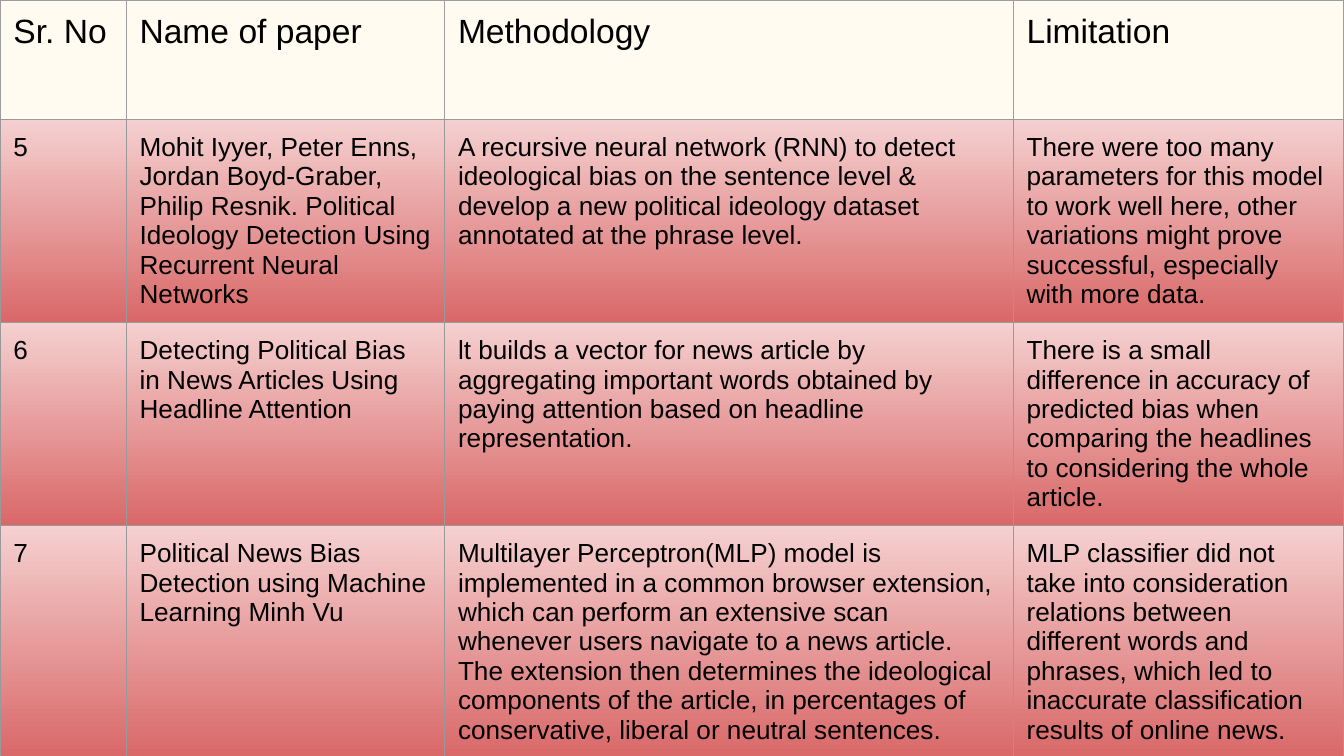
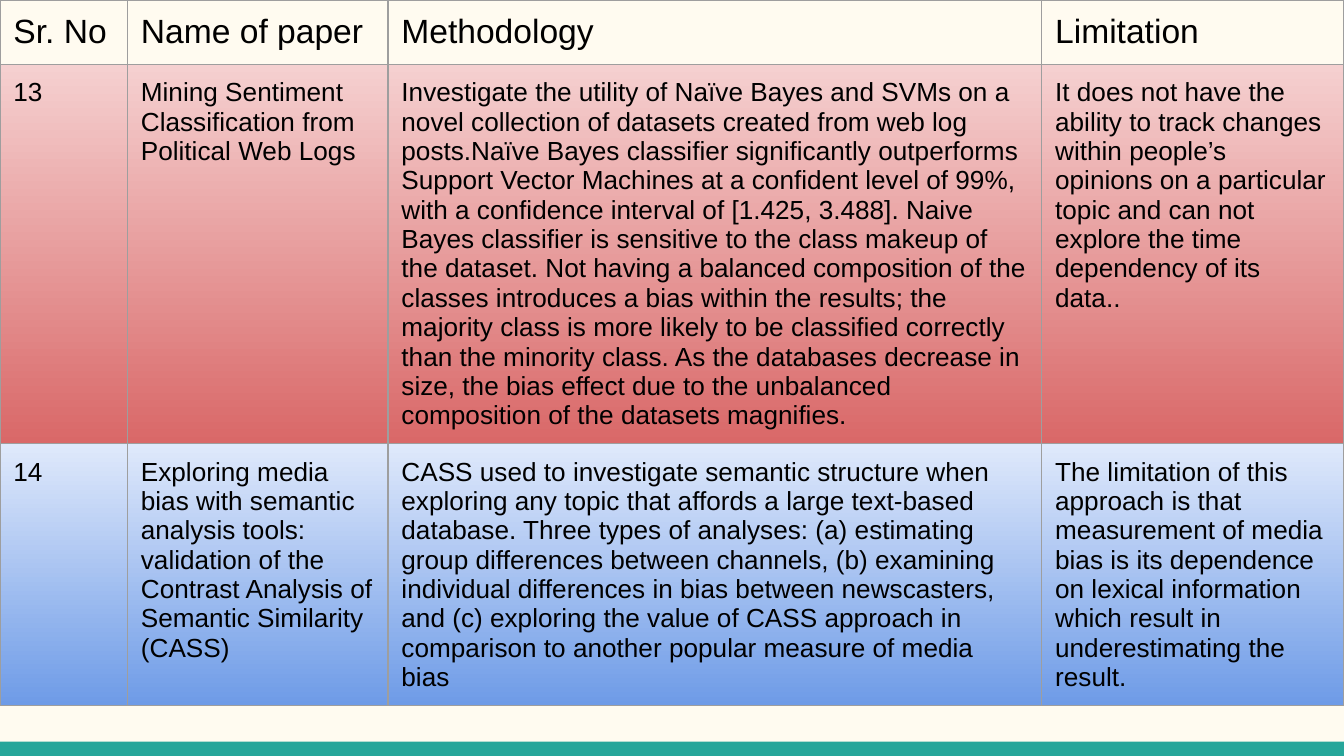
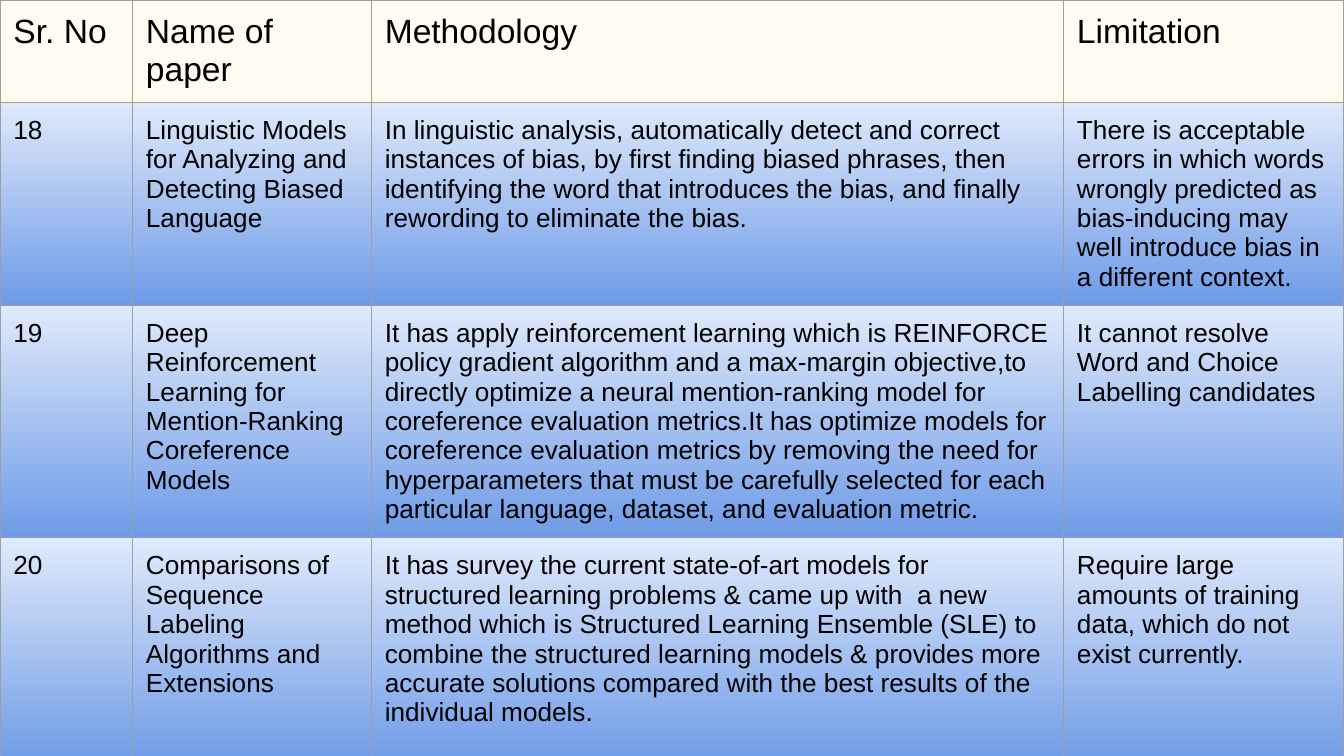
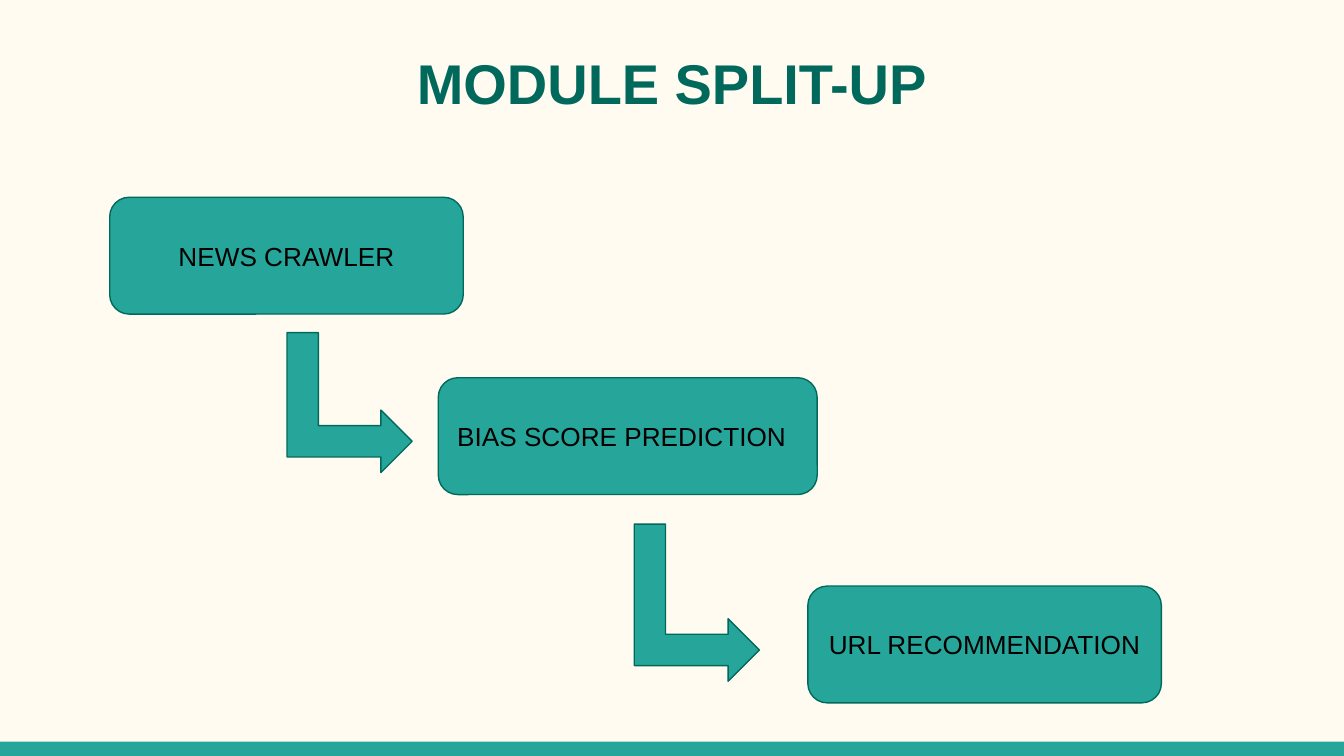
from lxml import etree
from pptx import Presentation
from pptx.dml.color import RGBColor
from pptx.enum import shapes, text
from pptx.oxml import ns
from pptx.util import Pt

SLIDE_WIDTH, SLIDE_HEIGHT = 720, 405
FONT = "Arial"
INSET = 7.2
LINE_WIDTH = 0.75
BAND_TOP, BAND_HEIGHT = 397.4, 7.6

CREAM = "FFFBF0"
TEAL = "26A69A"
DARK_TEAL = "00695C"
BLACK = "000000"
GREY = "9E9E9E"
MID_GREY = "999999"
RED_FADE = ("F5D0D0", "D96868")
BLUE_FADE = ("DFE9FB", "6E9BE7")

HEADINGS = ("Sr. No", "Name of paper", "Methodology", "Limitation")
HEADING_FORMAT = {"size": Pt(18)}
BODY_FORMAT = {"size": Pt(14)}
TITLE_FORMAT = {"size": Pt(30), "bold": True}

SURVEYS = [
    {
        "columns": (67.6, 170.6, 304.6, 177.2),
        "heights": (64, 64, 64, 64),
        "border": MID_GREY,
        "papers": [
            (RED_FADE, "5",
             "Mohit Iyyer, Peter Enns, Jordan Boyd-Graber, Philip Resnik. Political "
             "Ideology Detection Using Recurrent Neural Networks",
             "A recursive neural network (RNN) to detect ideological bias on the "
             "sentence level & develop a new political ideology dataset annotated at "
             "the phrase level.",
             "There were too many parameters for this model to work well here, other "
             "variations might prove successful, especially with more data."),
            (RED_FADE, "6",
             "Detecting Political Bias in News Articles Using Headline Attention",
             "lt builds a vector for news article by aggregating important words "
             "obtained by paying attention based on headline representation.",
             "There is a small difference in accuracy of predicted bias when "
             "comparing the headlines to considering the whole article."),
            (RED_FADE, "7",
             "Political News Bias Detection using Machine Learning Minh Vu",
             "Multilayer Perceptron(MLP) model is implemented in a common browser "
             "extension, which can perform an extensive scan whenever users navigate "
             "to a news article. The extension then determines the ideological "
             "components of the article, in percentages of conservative, liberal or "
             "neutral sentences.",
             "MLP classifier did not take into consideration relations between "
             "different words and phrases, which led to inaccurate classification "
             "results of online news."),
        ],
    },
    {
        "columns": (68.3, 139.6, 350.2, 161.9),
        "heights": (32, 89.3, 122.4),
        "border": GREY,
        "papers": [
            (RED_FADE, "13",
             "Mining Sentiment Classification from Political Web Logs",
             "Investigate the utility of Naïve Bayes and SVMs on a novel collection "
             "of datasets created from web log posts.Naïve Bayes classifier "
             "significantly outperforms Support Vector Machines at a confident level "
             "of 99%, with a confidence interval of [1.425, 3.488]. Naive Bayes "
             "classifier is sensitive to the class makeup of the dataset. Not having "
             "a balanced composition of the classes introduces a bias within the "
             "results; the majority class is more likely to be classified correctly "
             "than the minority class. As the databases decrease in size, the bias "
             "effect due to the unbalanced composition of the datasets magnifies.",
             "It does not have the ability to track changes within people’s opinions "
             "on a particular topic and can not explore the time dependency of its "
             "data.."),
            (BLUE_FADE, "14",
             "Exploring media bias with semantic analysis tools: validation of the "
             "Contrast Analysis of Semantic Similarity (CASS)",
             "CASS used to investigate semantic structure when exploring any topic "
             "that affords a large text-based database. Three types of analyses: (a) "
             "estimating group differences between channels, (b) examining "
             "individual differences in bias between newscasters, and (c) exploring "
             "the value of CASS approach in comparison to another popular measure of "
             "media bias",
             "The limitation of this approach is that measurement of media bias is "
             "its dependence on lexical information which result in underestimating "
             "the result."),
        ],
    },
    {
        "columns": (71, 128, 370.8, 150.2),
        "heights": (36, 36, 112.3, 122.4),
        "border": GREY,
        "papers": [
            (BLUE_FADE, "18",
             "Linguistic Models for Analyzing and Detecting Biased Language",
             "In linguistic analysis, automatically detect and correct instances of "
             "bias, by first finding biased phrases, then identifying the word that "
             "introduces the bias, and finally rewording to eliminate the bias.",
             "There is acceptable errors in which words wrongly predicted as "
             "bias-inducing may well introduce bias in a different context."),
            (BLUE_FADE, "19",
             "Deep Reinforcement Learning for Mention-Ranking Coreference Models",
             "It has apply reinforcement learning which is REINFORCE policy gradient "
             "algorithm and a max-margin objective,to directly optimize a neural "
             "mention-ranking model for coreference evaluation metrics.It has "
             "optimize models for coreference evaluation metrics by removing the "
             "need for hyperparameters that must be carefully selected for each "
             "particular language, dataset, and evaluation metric.",
             "It cannot resolve Word and Choice Labelling candidates"),
            (BLUE_FADE, "20",
             "Comparisons of Sequence Labeling Algorithms and Extensions",
             "It has survey the current state-of-art models for structured learning "
             "problems & came up with  a new method which is Structured Learning "
             "Ensemble (SLE) to combine the structured learning models & provides "
             "more accurate solutions compared with the best results of the "
             "individual models.",
             "Require large amounts of training data, which do not exist currently."),
        ],
    },
]

MODULE_HEIGHT = 62.6
MODULES = [
    ("NEWS CRAWLER", 0, 0, 189.4, text.PP_ALIGN.CENTER),
    ("BIAS SCORE PREDICTION", 176, 96.7, 203, text.PP_ALIGN.LEFT),
    ("URL RECOMMENDATION", 374, 208.3, 189.4, text.PP_ALIGN.CENTER),
]
ARROW_HEIGHT = 67
ARROWS = [(91, 76.5, 75), (272.4, 183.7, 84.2)]


def color(value):
    return RGBColor.from_string(value)


def apply_format(target, values):
    for name, value in values.items():
        setattr(target, name, value)


def write(frame, words, font_format, font_color=BLACK, align=text.PP_ALIGN.LEFT):
    paragraph = frame.paragraphs[0]
    paragraph.alignment = align
    run = paragraph.add_run()
    run.text = words
    apply_format(run.font, {"name": FONT, **font_format})
    run.font.color.rgb = color(font_color)


def set_insets(target):
    apply_format(target, {f"margin_{side}": Pt(INSET)
                          for side in ("left", "top", "right", "bottom")})


def add_filled_shape(slide, kind, box, line=None):
    shape = slide.shapes.add_shape(kind, *map(Pt, box))
    shape.shadow.inherit = False
    shape.fill.solid()
    shape.fill.fore_color.rgb = color(TEAL)
    if line:
        shape.line.color.rgb = color(line)
        shape.line.width = Pt(LINE_WIDTH)
    else:
        shape.line.fill.background()
    return shape


def add_base_slide(presentation):
    slide = presentation.slides.add_slide(presentation.slide_layouts[6])
    add_filled_shape(slide, shapes.MSO_SHAPE.RECTANGLE,
                     (0, BAND_TOP, SLIDE_WIDTH, BAND_HEIGHT))
    return slide


def set_borders(cell, side_colors):
    properties = cell._tc.get_or_add_tcPr()
    for index, (side, value) in enumerate(side_colors.items()):
        line = etree.Element(ns.qn(f"a:ln{side}"), w=str(Pt(LINE_WIDTH)))
        fill = etree.SubElement(line, ns.qn("a:solidFill"))
        etree.SubElement(fill, ns.qn("a:srgbClr"), val=value)
        properties.insert(index, line)


def fade(fill, stops):
    fill.gradient()
    fill.gradient_angle = 270
    for stop, value in zip(fill.gradient_stops, stops):
        stop.color.rgb = color(value)


def fill_row(cells, words, font_format, borders, stops=None):
    for cell, content in zip(cells, words):
        set_insets(cell)
        write(cell.text_frame, content, font_format)
        if stops:
            fade(cell.fill, stops)
        else:
            cell.fill.background()
        set_borders(cell, borders)


def add_survey_table(slide, box, survey):
    left, top, width = box
    heights, border = survey["heights"], survey["border"]
    frame = slide.shapes.add_table(len(heights), len(HEADINGS), Pt(left), Pt(top),
                                   Pt(width), Pt(sum(heights)))
    table = frame.table
    apply_format(table, {"first_row": False, "horz_banding": False})
    for column, column_width in zip(table.columns, survey["columns"]):
        column.width = Pt(column_width)
    for row, height in zip(table.rows, heights):
        row.height = Pt(height)

    heading_row, *paper_rows = table.rows
    fill_row(heading_row.cells, HEADINGS, HEADING_FORMAT,
             {**dict.fromkeys("LRT", GREY), "B": border})
    for row, (stops, *words) in zip(paper_rows, survey["papers"]):
        fill_row(row.cells, words, BODY_FORMAT, dict.fromkeys("LRTB", border), stops)


def add_title(slide, box, words):
    frame = slide.shapes.add_textbox(*map(Pt, box)).text_frame
    frame.word_wrap = True
    set_insets(frame)
    write(frame, words, TITLE_FORMAT, DARK_TEAL, text.PP_ALIGN.CENTER)


def add_module_stairs(slide, origin):
    left, top = origin
    for words, x, y, width, align in MODULES:
        module = add_filled_shape(slide, shapes.MSO_SHAPE.ROUNDED_RECTANGLE,
                                  (left + x, top + y, width, MODULE_HEIGHT), DARK_TEAL)
        frame = module.text_frame
        apply_format(frame, {"word_wrap": True,
                             "vertical_anchor": text.MSO_ANCHOR.MIDDLE})
        set_insets(frame)
        write(frame, words, BODY_FORMAT, align=align)
    for x, y, width in ARROWS:
        arrow = add_filled_shape(slide, shapes.MSO_SHAPE.BENT_UP_ARROW,
                                 (left + x, top + y, width, ARROW_HEIGHT), DARK_TEAL)
        arrow.rotation = 90


def main():
    presentation = Presentation()
    apply_format(presentation, {"slide_width": Pt(SLIDE_WIDTH),
                                "slide_height": Pt(SLIDE_HEIGHT)})
    background = presentation.slide_master.background.fill
    background.solid()
    background.fore_color.rgb = color(CREAM)

    for survey in SURVEYS:
        add_survey_table(add_base_slide(presentation), (0, 0, SLIDE_WIDTH), survey)

    module_slide = add_base_slide(presentation)
    add_title(module_slide, (24.5, 18.7, 671, 48.2), "MODULE SPLIT-UP")
    add_module_stairs(module_slide, (58.8, 105.7))

    presentation.save("out.pptx")


if __name__ == "__main__":
    main()
